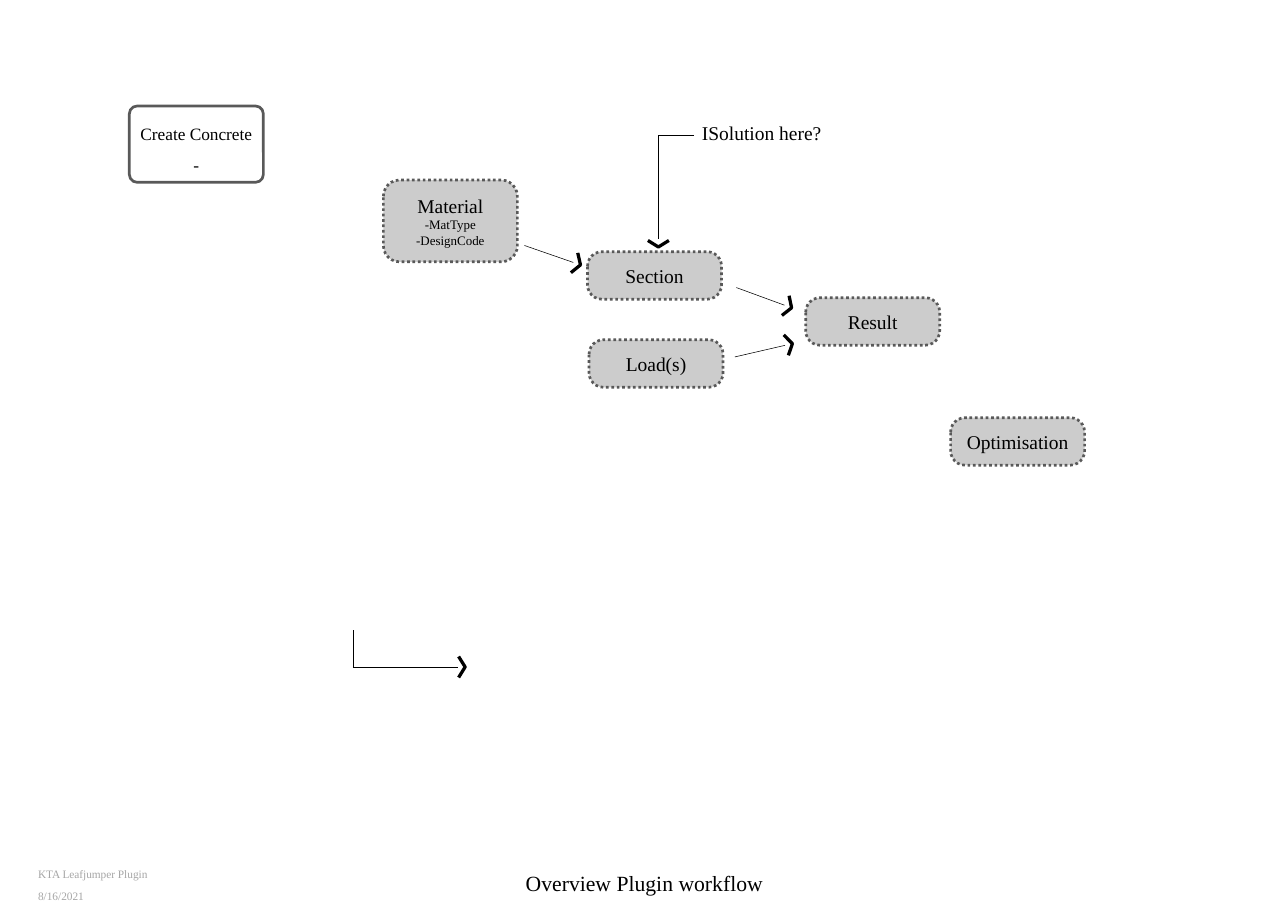
import math

from lxml import etree
from pptx import Presentation
from pptx.dml.color import RGBColor
from pptx.enum import dml, shapes, text
from pptx.oxml import ns
from pptx.util import Pt

BLACK = RGBColor(0x00, 0x00, 0x00)
WHITE = RGBColor(0xFF, 0xFF, 0xFF)
OUTLINE = RGBColor(0x59, 0x59, 0x59)
FOOTER_GREY = RGBColor(0xA6, 0xA6, 0xA6)
FONT = "Times New Roman"
MIDDLE = text.MSO_ANCHOR.MIDDLE
CENTER = text.PP_ALIGN.CENTER

BOX_WIDTH = 123.84
STEP_HEIGHT = 43.92
STEPS = [
    ("Section", 542.88, 232.56),
    ("Load(s)", 544.32, 313.92),
    ("Result", 744.48, 275.04),
    ("Optimisation", 878.4, 385.92),
]

# Each arrow runs through its points to the tip of its head.
ARROWS = [
    [(641.5, 125.3), (608.4, 125.3), (608.4, 228.2)],
    [(680.4, 265.7), (731.5, 284.4)],
    [(326.2, 582.5), (326.2, 616.3), (429.8, 616.3)],
    [(679, 329.8), (732.2, 317.5)],
    [(484.6, 226.8), (536.4, 244.8)],
]
HEAD_DEPTH = 6
HEAD_HALF_WIDTH = 9.7
TIP_GAP = 7


def write(frame, lines, color=BLACK, align=None, spacing=None, anchor=text.MSO_ANCHOR.TOP):
    """Fill a text frame with (wording, size) lines."""
    frame.word_wrap = True
    frame.vertical_anchor = anchor
    for index, (wording, size) in enumerate(lines):
        paragraph = frame.paragraphs[0] if index == 0 else frame.add_paragraph()
        paragraph.text = wording
        paragraph.alignment = align
        paragraph.line_spacing = spacing
        font = {"name": FONT, "size": Pt(size)}
        for attribute, value in font.items():
            setattr(paragraph.font, attribute, value)
        paragraph.font.color.rgb = color


def add_label(slide, wording, size, left, top, width, height, **style):
    label = slide.shapes.add_textbox(Pt(left), Pt(top), Pt(width), Pt(height))
    write(label.text_frame, [(wording, size)], **style)


def add_box(slide, lines, left, top, height, corner, fill=BLACK, spacing=None):
    box = slide.shapes.add_shape(shapes.MSO_SHAPE.ROUNDED_RECTANGLE,
                                 Pt(left), Pt(top), Pt(BOX_WIDTH), Pt(height))
    box.adjustments[0] = corner
    box.shadow.inherit = False
    box.fill.solid()
    box.fill.fore_color.rgb = fill
    box.line.color.rgb = OUTLINE
    box.line.width = Pt(2.5)
    write(box.text_frame, lines, align=CENTER, spacing=spacing, anchor=MIDDLE)
    return box


def add_dotted_box(slide, lines, left, top, height, corner):
    """Box with a 20 % black fill and a dotted outline."""
    box = add_box(slide, lines, left, top, height, corner)
    box.line.dash_style = dml.MSO_LINE.ROUND_DOT
    fill_color = box.fill._xPr.find(ns.qn("a:solidFill"))[0]
    etree.SubElement(fill_color, ns.qn("a:alpha"), val="20000")


def add_line(slide, start, end):
    line = slide.shapes.add_connector(shapes.MSO_CONNECTOR.STRAIGHT,
                                      *(Pt(value) for value in (*start, *end)))
    line.line.color.rgb = BLACK
    line.line.width = Pt(0.5)
    etree.SubElement(line._element.spPr, ns.qn("a:effectLst"))


def add_arrow(slide, points):
    """Thin lines through the points, with a bold open head at the last one."""
    (from_x, from_y), (tip_x, tip_y) = points[-2:]
    angle = math.atan2(tip_y - from_y, tip_x - from_x)
    cos, sin = math.cos(angle), math.sin(angle)

    def near_tip(back, side):
        return tip_x - back * cos - side * sin, tip_y - back * sin + side * cos

    stops = points[:-1] + [near_tip(TIP_GAP, 0)]
    for start, end in zip(stops, stops[1:]):
        add_line(slide, start, end)

    head_points = [near_tip(HEAD_DEPTH, -HEAD_HALF_WIDTH), (tip_x, tip_y),
                   near_tip(HEAD_DEPTH, HEAD_HALF_WIDTH)]
    first, *others = [(Pt(x), Pt(y)) for x, y in head_points]
    outline = slide.shapes.build_freeform(*first)
    outline.add_line_segments(others, close=False)
    head = outline.convert_to_shape()
    head.shadow.inherit = False
    head.fill.background()
    head.line.color.rgb = BLACK
    head.line.width = Pt(3)


def main():
    deck = Presentation()
    deck.slide_width, deck.slide_height = Pt(1190.16), Pt(841.68)
    slide = deck.slides.add_slide(deck.slide_layouts[6])

    for points in ARROWS:
        add_arrow(slide, points)

    add_box(slide, [("Create Concrete", 16), ("-", 16)],
            119.52, 97.92, 70.56, 0.103, fill=WHITE, spacing=1.5)
    add_dotted_box(slide, [("Material", 18), ("-MatType", 12), ("-DesignCode", 12)],
                   354.24, 166.32, 75.6, 0.198)
    for step, left, top in STEPS:
        add_dotted_box(slide, [(step, 18)], left, top, STEP_HEIGHT, 0.303)

    add_label(slide, "ISolution here?", 18, 641.5, 108, 152.6, 28.8)
    add_label(slide, "Overview Plugin workflow", 20, 28.8, 793.4, 1133.3, 48.2,
              align=CENTER, spacing=0.9, anchor=MIDDLE)
    add_label(slide, "KTA Leafjumper Plugin", 10.5, 28.1, 793.4, 401.8, 23.8,
              color=FOOTER_GREY, anchor=text.MSO_ANCHOR.BOTTOM)
    add_label(slide, "8/16/2021", 10.5, 28.1, 817.9, 401.8, 23.8, color=FOOTER_GREY)

    deck.save("out.pptx")


if __name__ == "__main__":
    main()
